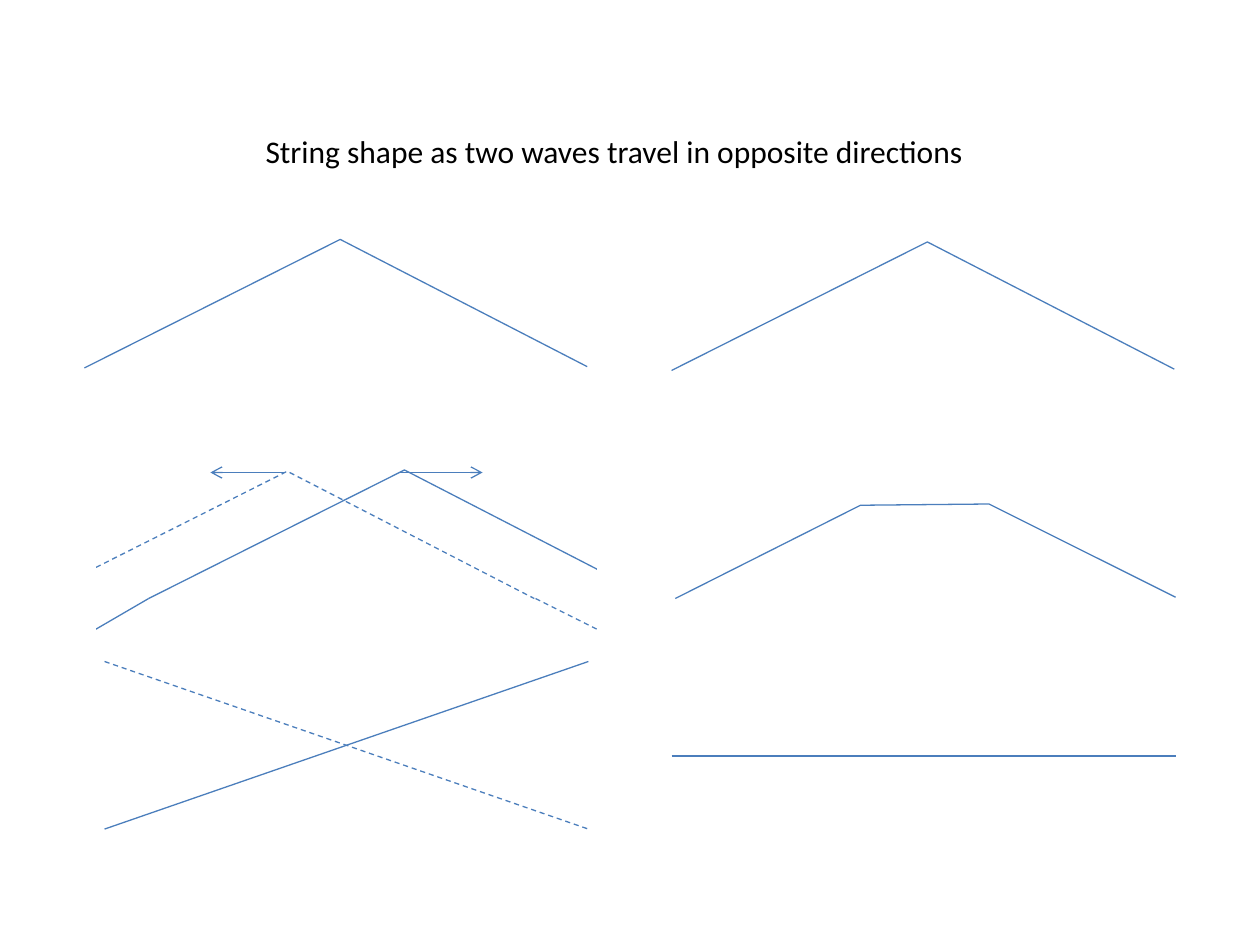
import pptx
import pptx.util
import pptx.dml.color
import pptx.enum.dml
import pptx.enum.shapes
import pptx.enum.text
import pptx.oxml
import pptx.oxml.ns
from pptx.util import Inches

BLUE = pptx.dml.color.RGBColor(0x4B, 0x7E, 0xBC)
WHITE = pptx.dml.color.RGBColor(0xFF, 0xFF, 0xFF)
BLACK = pptx.dml.color.RGBColor(0, 0, 0)
DASH = pptx.enum.dml.MSO_LINE.DASH


def format_line(line, dash=None):
    line.color.rgb = BLUE
    for name, value in {"width": pptx.util.Pt(0.75), "dash_style": dash}.items():
        setattr(line, name, value)


def add_string(shapes, points, dash=None):
    pts = [(Inches(x), Inches(y)) for x, y in points]
    if len(pts) == 2:
        sp = shapes.add_connector(pptx.enum.shapes.MSO_CONNECTOR.STRAIGHT, *pts[0], *pts[1])
        sp._element.spPr.append(pptx.oxml.parse_xml(
            f'<a:effectLst {pptx.oxml.ns.nsdecls("a")}/>'))
    else:
        builder = shapes.build_freeform(*pts[0])
        builder.add_line_segments(pts[1:], close=False)
        sp = builder.convert_to_shape()
        sp.fill.background()
        sp.shadow.inherit = False
    format_line(sp.line, dash)
    return sp


prs = pptx.Presentation()
prs.slide_width, prs.slide_height = Inches(10), Inches(7.5)
s = prs.slides.add_slide(prs.slide_layouts[5])

title = s.shapes.title
box = {"left": 0.75, "top": 1, "width": 8.25, "height": 0.4}
for name, value in box.items():
    setattr(title, name, Inches(value))
tf = title.text_frame
tf.text = "String shape as two waves travel in opposite directions"
tf.auto_size = pptx.enum.text.MSO_AUTO_SIZE.NONE
p = tf.paragraphs[0]
p.alignment = pptx.enum.text.PP_ALIGN.CENTER
for name, value in {"name": "Calibri", "size": pptx.util.Pt(18)}.items():
    setattr(p.font, name, value)
p.font.color.rgb = BLACK

peak = [(0, 1.02), (2.03, 0), (3.99, 1.01)]
for left, top in [(5.33, 1.92), (0.67, 1.9)]:
    add_string(s.shapes, [(left + x, top + y) for x, y in peak])

waves = s.shapes.add_group_shape()
for left, top, tail, dash in [
    (1.18, 3.73, [(1.18, 4.75), (0.75, 5)], None),
    (0.25, 3.74, [(4.25, 4.75), (4.75, 5)], DASH),
]:
    add_string(waves.shapes, [(left + x, top + y) for x, y in peak], dash)
    add_string(waves.shapes, tail, dash)

for left, top in [(0.17, 3.75), (4.75, 3.92)]:
    mask = waves.shapes.add_shape(
        pptx.enum.shapes.MSO_SHAPE.RECTANGLE,
        Inches(left), Inches(top), Inches(0.58), Inches(1.25))
    mask.shadow.inherit = False
    mask.fill.solid()
    mask.fill.fore_color.rgb = WHITE
    mask.line.color.rgb = WHITE
    mask.line.width = pptx.util.Pt(2)

add_string(s.shapes, [(5.36, 4.75), (6.83, 4.01), (7.85, 4), (9.33, 4.74)])

for start, end in [(2.25, 1.67), (3.17, 3.83)]:
    arrow = add_string(s.shapes, [(start, 3.75), (end, 3.75)])
    arrow.line._get_or_add_ln().append(pptx.oxml.parse_xml(
        f'<a:tailEnd {pptx.oxml.ns.nsdecls("a")} type="arrow"/>'))

add_string(s.shapes, [(0.83, 5.25), (4.67, 6.58)], DASH)
add_string(s.shapes, [(4.67, 5.25), (0.83, 6.58)])
add_string(s.shapes, [(5.33, 6), (9.33, 6)])

prs.save("out.pptx")
